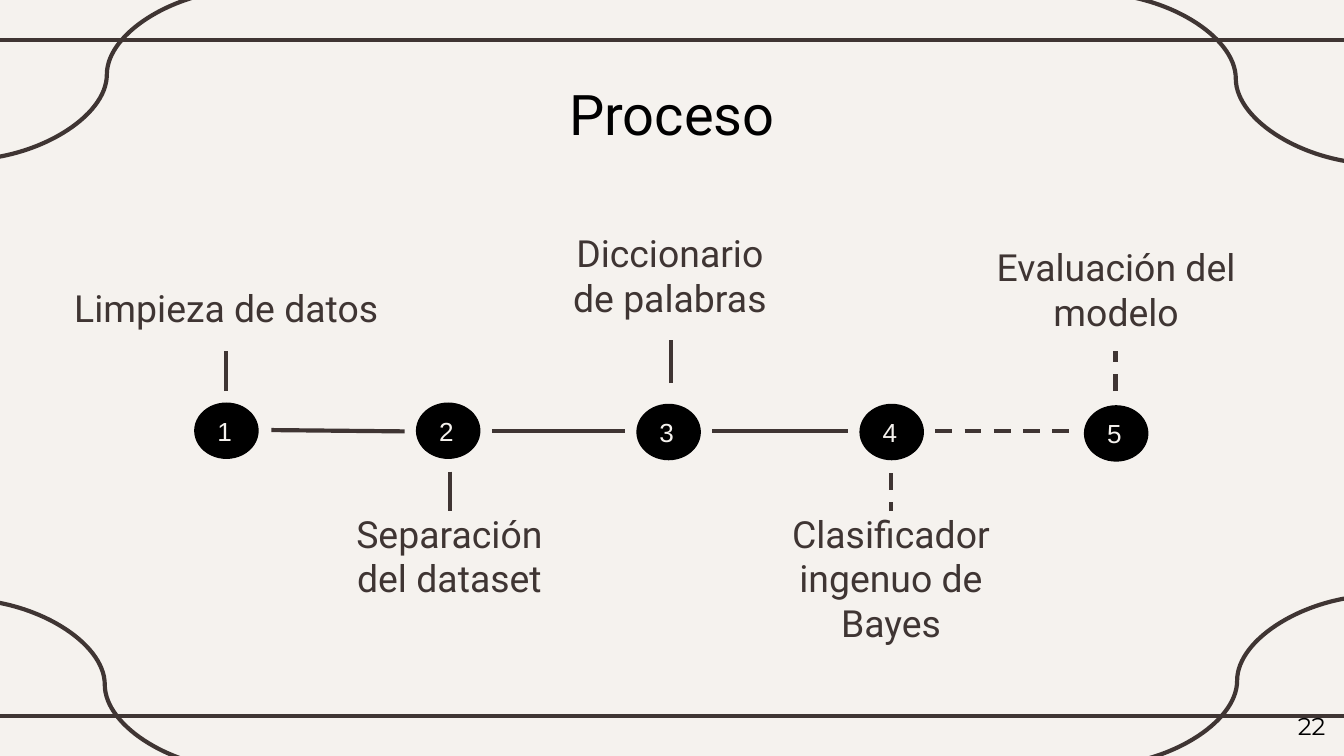
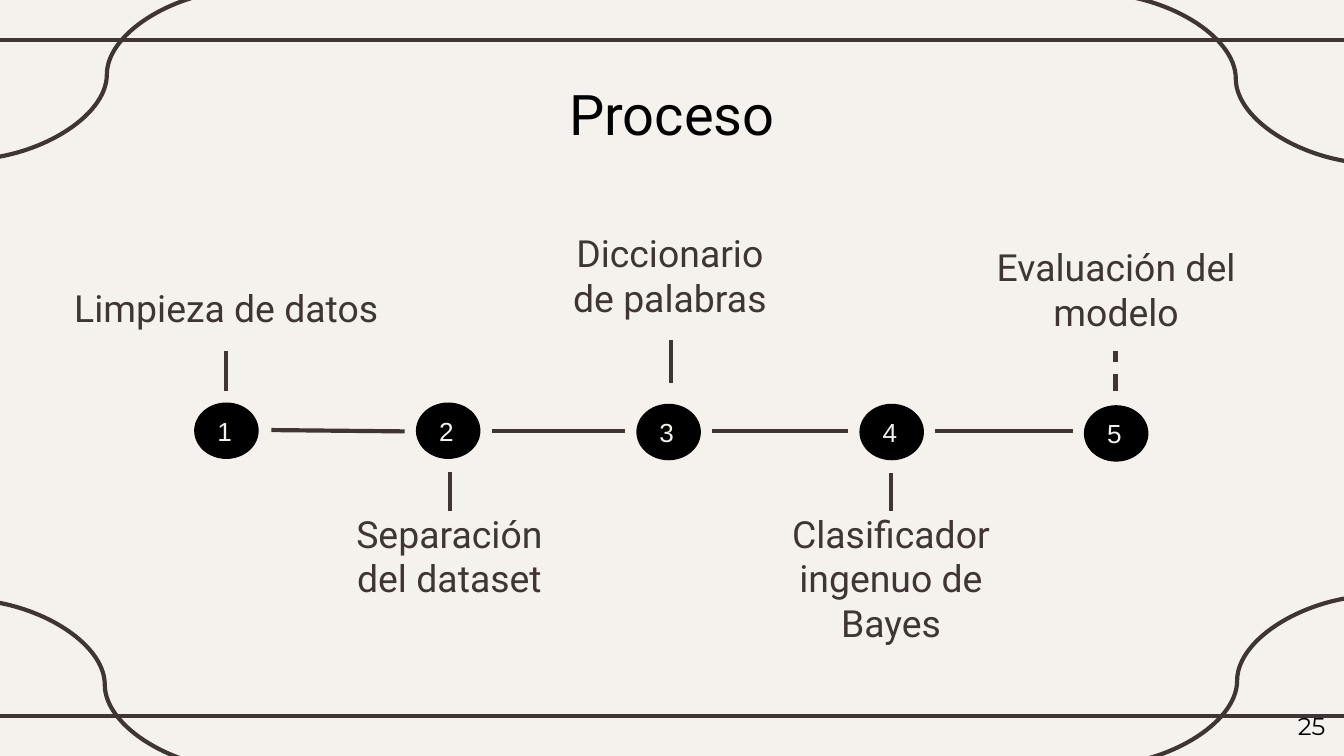
import dataclasses

import pptx
import pptx.dml.color
import pptx.enum.dml
import pptx.enum.shapes
import pptx.enum.text
import pptx.util
from lxml import etree
from pptx.util import Inches


@dataclasses.dataclass(frozen=True)
class Theme:
    """Colours, fonts and sizes shared by the slides."""
    paper: str = "F5F2EE"
    ink: str = "3F3533"
    black: str = "000000"
    text_font: str = "Roboto"
    badge_font: str = "Arial"
    number_font: str = "Montserrat"
    title_size: float = 30
    label_size: float = 20
    badge_size: float = 14
    number_size: float = 13
    line_width: float = 2.25
    badge_border: float = 0.75
    inset: float = 0.1


@dataclasses.dataclass(frozen=True)
class Step:
    """One step of the process, with its badge, label and stem."""
    label: str
    label_box: tuple
    badge_corner: tuple
    stem_x: float
    stem_span: tuple
    anchor: str = "TOP"


THEME = Theme()
ALIGN = pptx.enum.text.PP_ALIGN
ANCHOR = pptx.enum.text.MSO_ANCHOR
CONNECTOR = pptx.enum.shapes.MSO_CONNECTOR
DRAWING = "{http://schemas.openxmlformats.org/drawingml/2006/main}"

SLIDE_WIDTH = 10
SLIDE_HEIGHT = SLIDE_WIDTH * 9 / 16
RULE_HEIGHTS = (0.3, 5.33)
CORNER_CURVES = (
    ((-0.27, 4.46), (1.83, 5.73)),
    ((8.14, -0.05), (10.25, 1.22)),
    ((10.26, 4.43), (8.15, 5.7)),
    ((1.85, -0.08), (-0.26, 1.19)),
)
TITLE_BOX = (0.78, 0.49, 8.44, 0.63)
NUMBER_BOX = (9.36, 5.19, 0.6, 0.43)
BADGE_SIZE = (0.47, 0.41)

STEPS = (
    Step("Limpieza de datos", (0.52, 2.12, 2.33, 0.41), (1.45, 3), 1.68, (2.91, 2.61)),
    Step("Separación del dataset", (2.46, 3.8, 1.77, 0.76), (3.1, 3), 3.35, (3.51, 3.8)),
    Step("Diccionario de palabras", (4.15, 1.63, 1.67, 0.83), (4.74, 3.01), 4.99,
         (2.85, 2.53), "MIDDLE"),
    Step("Clasificador ingenuo de Bayes", (5.75, 3.8, 1.76, 1.09), (6.4, 3.01), 6.63,
         (3.52, 3.8)),
    Step("Evaluación del modelo", (7.41, 1.82, 1.79, 0.68), (8.07, 3.02), 8.3, (2.91, 2.61)),
)
LINKS = (
    ((2.02, 3.2), (3.01, 3.21)),
    ((3.66, 3.21), (4.65, 3.21)),
    ((5.3, 3.21), (6.31, 3.21)),
    ((6.96, 3.21), (7.98, 3.21)),
)


def color(value):
    """Return an RGB colour from its hexadecimal text."""
    return pptx.dml.color.RGBColor.from_string(value)


def add_line(slide, start, end, kind=CONNECTOR.STRAIGHT, dashed=False):
    """Draw an ink line between two points."""
    connector = slide.shapes.add_connector(kind, *map(Inches, start + end))
    connector.line.color.rgb = color(THEME.ink)
    connector.line.width = pptx.util.Pt(THEME.line_width)
    if dashed:
        connector.line.dash_style = pptx.enum.dml.MSO_LINE.DASH
    etree.SubElement(connector._element.spPr, DRAWING + "effectLst")


def write_text(shape, text, font, size, ink, align, anchor=ANCHOR.TOP, inset=0):
    """Fill a shape with one styled paragraph."""
    frame = shape.text_frame
    frame.word_wrap = True
    frame.vertical_anchor = anchor
    frame.margin_left = frame.margin_right = Inches(inset)
    frame.margin_top = frame.margin_bottom = Inches(inset)
    paragraph = frame.paragraphs[0]
    paragraph.text = text
    paragraph.alignment = align
    paragraph.font.name = font
    paragraph.font.size = pptx.util.Pt(size)
    paragraph.font.color.rgb = color(ink)


def add_text(slide, box, text, *style, **layout):
    """Add a text box with one styled paragraph."""
    write_text(slide.shapes.add_textbox(*map(Inches, box)), text, *style, **layout)


def add_badge(slide, corner, number):
    """Add the black oval that carries a step number."""
    badge = slide.shapes.add_shape(
        pptx.enum.shapes.MSO_SHAPE.OVAL, *map(Inches, corner + BADGE_SIZE))
    badge.shadow.inherit = False
    badge.fill.solid()
    badge.fill.fore_color.rgb = color(THEME.black)
    badge.line.color.rgb = color(THEME.black)
    badge.line.width = pptx.util.Pt(THEME.badge_border)
    write_text(badge, str(number), THEME.badge_font, THEME.badge_size, THEME.paper,
               ALIGN.LEFT, ANCHOR.MIDDLE, THEME.inset)


def add_frame(slide, title, number):
    """Add the background, rules, corner curves, title and slide number."""
    slide.background.fill.solid()
    slide.background.fill.fore_color.rgb = color(THEME.paper)
    for height in RULE_HEIGHTS:
        add_line(slide, (-0.08, height), (10.08, height))
    for start, end in CORNER_CURVES:
        add_line(slide, start, end, CONNECTOR.CURVE)
    add_text(slide, TITLE_BOX, title, THEME.text_font, THEME.title_size, THEME.black,
             ALIGN.CENTER, inset=THEME.inset)
    add_text(slide, NUMBER_BOX, str(number), THEME.number_font, THEME.number_size,
             THEME.black, ALIGN.RIGHT, inset=THEME.inset)


def add_process(slide, solid_steps):
    """Draw the timeline, dashing whatever follows the solid steps."""
    for number, (start, end) in enumerate(LINKS, 1):
        add_line(slide, start, end, dashed=number > solid_steps)
    for number, step in enumerate(STEPS, 1):
        start_y, end_y = step.stem_span
        add_line(slide, (step.stem_x, start_y), (step.stem_x, end_y),
                 dashed=number > solid_steps)
        add_text(slide, step.label_box, step.label, THEME.text_font, THEME.label_size,
                 THEME.ink, ALIGN.CENTER, anchor=ANCHOR[step.anchor])
        add_badge(slide, step.badge_corner, number)


def main():
    """Build and save the presentation."""
    presentation = pptx.Presentation()
    presentation.slide_width = Inches(SLIDE_WIDTH)
    presentation.slide_height = Inches(SLIDE_HEIGHT)
    blank = presentation.slide_layouts[6]
    for slide_number, solid_steps in ((22, 3), (25, 4)):
        slide = presentation.slides.add_slide(blank)
        add_frame(slide, "Proceso", slide_number)
        add_process(slide, solid_steps)
    presentation.save("out.pptx")


if __name__ == "__main__":
    main()
